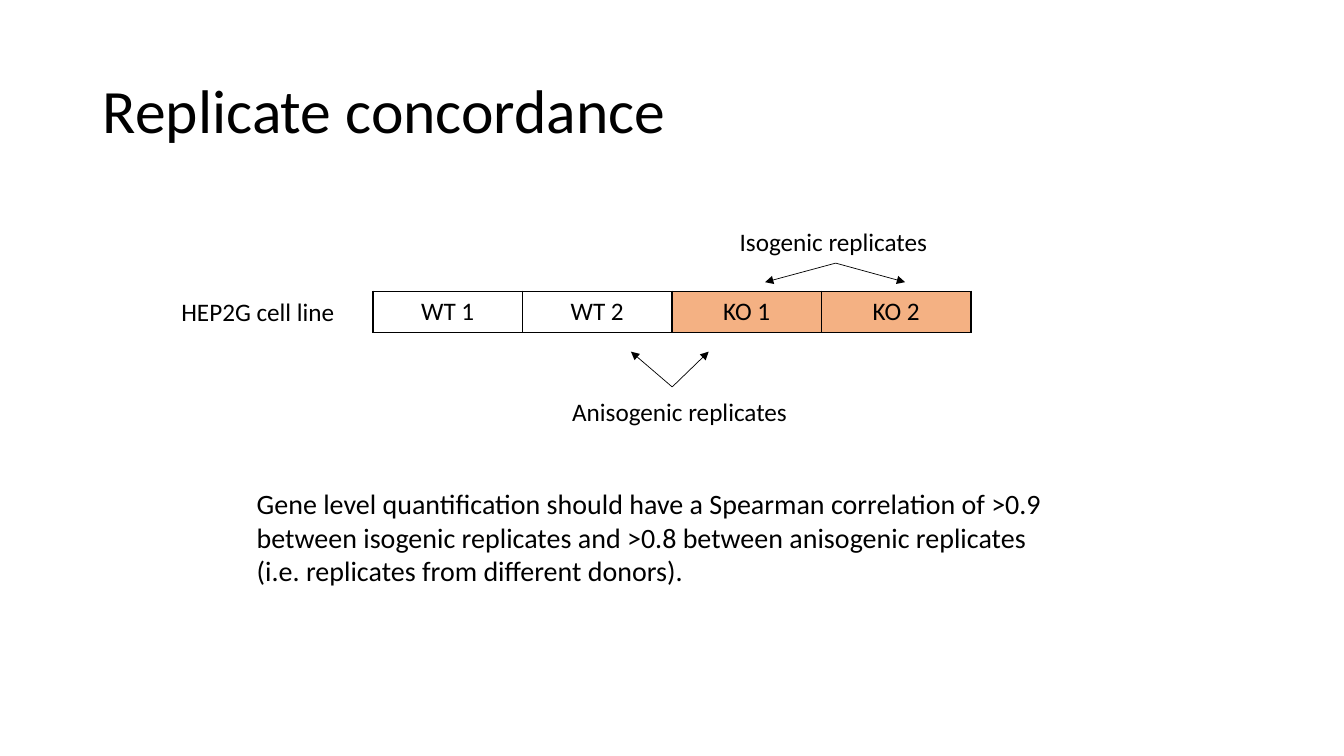
from lxml.etree import SubElement
from pptx import Presentation
from pptx.dml.color import RGBColor
from pptx.enum.shapes import MSO_CONNECTOR
from pptx.enum.text import MSO_ANCHOR, MSO_AUTO_SIZE, PP_ALIGN
from pptx.oxml.ns import qn
from pptx.util import Cm, Pt

HUES = {"ink": "000000", "knock": "F4B183", "paper": "FFFFFF"}


def hue(name):
    """Return the named colour."""
    return RGBColor.from_string(HUES[name])


class Deck:
    """Hold the style and the current slide."""

    font = "Calibri"

    def __init__(self):
        """Open a wide deck with one title slide."""
        self.prs = Presentation()
        self.prs.slide_width, self.prs.slide_height = Cm(33.87), Cm(19.05)
        self.slide = self.prs.slides.add_slide(self.prs.slide_layouts[5])
        self.slide.background.fill.solid()
        self.slide.background.fill.fore_color.rgb = hue("paper")

    def label(self, frame, text, size, align=PP_ALIGN.LEFT):
        """Put styled text in a frame."""
        frame.text = text
        para = frame.paragraphs[0]
        para.alignment = align
        for run in para.runs:
            run.font.name, run.font.size = self.font, Pt(size)
            run.font.bold = False
            run.font.color.rgb = hue("ink")

    def title(self, text, left, top, width, height):
        """Place and fill the title."""
        box = self.slide.shapes.title
        box.left, box.top = Cm(left), Cm(top)
        box.width, box.height = Cm(width), Cm(height)
        self.label(box.text_frame, text, 44)
        box.text_frame.vertical_anchor = MSO_ANCHOR.MIDDLE
        box.text_frame.paragraphs[0].line_spacing = 0.9

    def text(self, text, left, top, width, height=1.02, size=18, wrap=False):
        """Add a text box that fits its text."""
        box = self.slide.shapes.add_textbox(Cm(left), Cm(top), Cm(width), Cm(height))
        self.label(box.text_frame, text, size)
        box.text_frame.word_wrap = wrap
        box.text_frame.auto_size = MSO_AUTO_SIZE.SHAPE_TO_FIT_TEXT

    def edge(self, cell):
        """Draw thin borders round a cell."""
        props = cell._tc.get_or_add_tcPr()
        for side in ("a:lnL", "a:lnR", "a:lnT", "a:lnB"):
            line = SubElement(props, qn(side), w=str(Pt(1)))
            fill = SubElement(line, qn("a:solidFill"))
            SubElement(fill, qn("a:srgbClr"), val=HUES["ink"])

    def table(self, items, left, top, width, height):
        """Add a one-row table of (text, fill) items."""
        grid = self.slide.shapes.add_table(
            1, len(items), Cm(left), Cm(top), Cm(width), Cm(height)).table
        grid.first_row = grid.horz_banding = False
        for cell, (text, fill) in zip(grid.rows[0].cells, items):
            self.label(cell.text_frame, text, 18, PP_ALIGN.CENTER)
            self.edge(cell)
            if fill:
                cell.fill.solid()
                cell.fill.fore_color.rgb = hue(fill)
            else:
                cell.fill.background()

    def fork(self, start, *ends):
        """Draw arrows from one point to several ends."""
        for end in ends:
            arrow = self.slide.shapes.add_connector(
                MSO_CONNECTOR.STRAIGHT, *map(Cm, start + end))
            arrow.line.color.rgb = hue("ink")
            arrow.line.width = Pt(0.5)
            props = arrow._element.spPr
            SubElement(props.find(qn("a:ln")), qn("a:tailEnd"), type="triangle")
            SubElement(props, qn("a:effectLst"))

    def save(self):
        """Save the deck."""
        self.prs.save("out.pptx")


def main():
    """Build the slide."""
    deck = Deck()
    deck.title("Replicate concordance", 2.34, 1.02, 29.21, 3.68)
    deck.table([("WT 1", None), ("WT 2", None), ("KO 1", "knock"), ("KO 2", "knock")],
               9.4, 7.34, 15.07, 1.04)
    deck.text("Gene level quantification should have a Spearman correlation of >0.9 "
              "between isogenic replicates and >0.8 between anisogenic replicates "
              "(i.e. replicates from different donors).",
              6.22, 12.14, 20.78, 2.82, size=20, wrap=True)
    deck.text("HEP2G cell line", 4.32, 7.34, 4.42)
    deck.text("Isogenic replicates", 18.39, 5.59, 5.28)
    deck.fork((21.06, 6.63), (19.28, 7.11), (22.81, 7.11))
    deck.fork((16.94, 9.75), (17.86, 8.86), (15.9, 8.86))
    deck.text("Anisogenic replicates", 14.17, 9.86, 5.99)
    deck.save()


if __name__ == "__main__":
    main()
